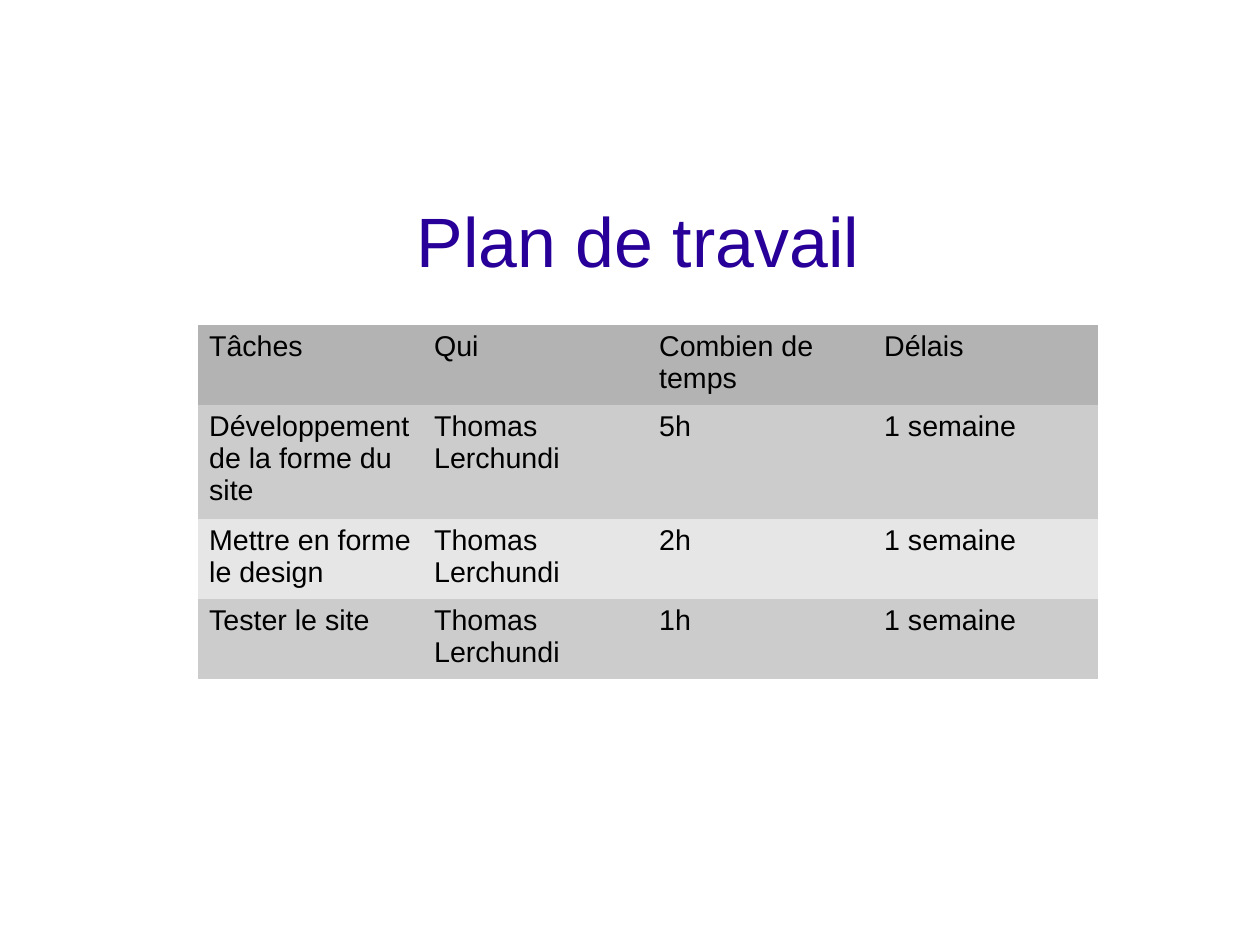
from pptx import Presentation
from pptx.dml.color import RGBColor
from pptx.enum.text import MSO_ANCHOR, PP_ALIGN
from pptx.oxml.ns import qn
from pptx.util import Inches, Pt

FONT = "Arial"
VIOLET = RGBColor(0x28, 0x00, 0x99)
BLACK = RGBColor(0x00, 0x00, 0x00)
HEADER_GREY = RGBColor(0xB3, 0xB3, 0xB3)
BAND_GREYS = [RGBColor(0xCC, 0xCC, 0xCC), RGBColor(0xE6, 0xE6, 0xE6)]
NO_STYLE_NO_GRID = "{2D5ABB26-0587-4C30-8999-92F81FD0307C}"

CM_PER_INCH = 2.54
SLIDE_WIDTH_CM = 28
SLIDE_HEIGHT_CM = 21
COLUMN_WIDTH_CM = 5
ROW_HEIGHTS = [0.7, 1.0, 0.7, 0.7]
PLAN = [
    ["Tâches", "Qui", "Combien de temps", "Délais"],
    ["Développement de la forme du site", "Thomas Lerchundi", "5h", "1 semaine"],
    ["Mettre en forme le design", "Thomas Lerchundi", "2h", "1 semaine"],
    ["Tester le site", "Thomas Lerchundi", "1h", "1 semaine"],
]


def metric(centimetres):
    """Turn centimetres into a whole slide length."""
    return round(Inches(centimetres) / CM_PER_INCH)


def add_span(para, text, size, color):
    span = para.add_run()
    span.text = text
    span.font.name = FONT
    span.font.size = Pt(size)
    span.font.color.rgb = color


def set_margins(holder, horizontal, vertical):
    holder.margin_left = holder.margin_right = Inches(horizontal)
    holder.margin_top = holder.margin_bottom = Inches(vertical)


def set_title(slide, text):
    title = slide.shapes.title
    title.left, title.top = Inches(0.86), Inches(1.41)
    title.width, title.height = Inches(9.45), Inches(1.38)
    frame = title.text_frame
    frame.word_wrap = True
    frame.vertical_anchor = MSO_ANCHOR.MIDDLE
    set_margins(frame, 0, 0)
    para = frame.paragraphs[0]
    para.alignment = PP_ALIGN.CENTER
    para.line_spacing = 1.0
    add_span(para, text, 44, VIOLET)


def fill_cell(cell, text, color):
    cell.fill.solid()
    cell.fill.fore_color.rgb = color
    set_margins(cell, 0.1, 0.05)
    add_span(cell.text_frame.paragraphs[0], text, 18, BLACK)


def add_plan_table(slide):
    column_count = len(PLAN[0])
    frame = slide.shapes.add_table(
        len(PLAN), column_count, Inches(1.73), Inches(2.84),
        metric(COLUMN_WIDTH_CM * column_count), Inches(sum(ROW_HEIGHTS)))
    table = frame.table
    table.horz_banding = False
    table._tbl.tblPr.find(qn("a:tableStyleId")).text = NO_STYLE_NO_GRID
    for column in table.columns:
        column.width = metric(COLUMN_WIDTH_CM)
    for index, texts in enumerate(PLAN):
        table.rows[index].height = Inches(ROW_HEIGHTS[index])
        color = BAND_GREYS[(index - 1) % 2] if index else HEADER_GREY
        for cell, text in zip(table.rows[index].cells, texts):
            fill_cell(cell, text, color)


def main():
    deck = Presentation()
    deck.slide_width = metric(SLIDE_WIDTH_CM)
    deck.slide_height = metric(SLIDE_HEIGHT_CM)
    slide = deck.slides.add_slide(deck.slide_layouts.get_by_name("Title Only"))
    set_title(slide, "Plan de travail")
    add_plan_table(slide)
    deck.save("out.pptx")


if __name__ == "__main__":
    main()
